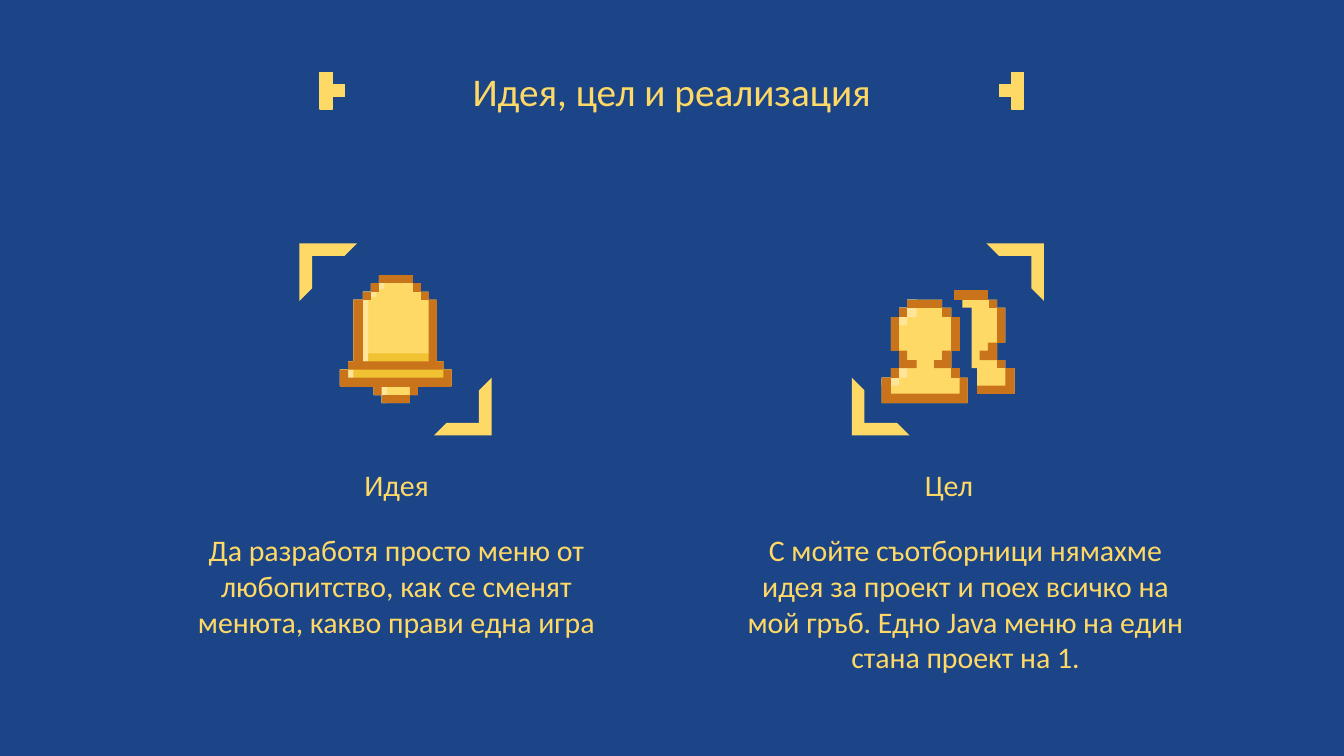
from pptx import Presentation
from pptx import util as u
from pptx.dml.color import RGBColor
from pptx.enum import shapes, text

COLORS = {"background": "1C4587", "gold": "FFD966", "amber": "F1C232",
          "shine": "FFE599", "edge": "C9741B"}
FONT = "Calibri"

TITLE = "Идея, цел и реализация"
# heading, body, left edge, body width (cm)
COLUMNS = [
    ("Идея", "Да разработя просто меню от любопитство, как се сменят менюта, "
     "какво прави една игра", 3.2, 8.59),
    ("Цел", "С мойте съотборници нямахме идея за проект и поех всичко на мой "
     "гръб. Едно Java меню на един стана проект на 1.", 13.64, 9.22),
]
HEADING_WIDTH = 8.59

# Icon parts are lists of corners; see add_stepped. Two corners make a rectangle.
BELL = [
    ("gold", [(82, 5), (76, 11), (70, 17), (63, 23), (59, 69), (53, 75), (78, 87),
              (84, 94), (105, 100), (111, 94), (136, 87), (130, 75), (125, 69),
              (119, 23), (113, 17), (107, 11)]),
    ("amber", [(63, 63), (59, 69), (53, 75), (136, 87), (130, 75), (125, 69)]),
    ("shine", [(82, 9), (76, 11), (70, 17), (63, 23), (74, 69), (76, 23), (80, 21),
               (82, 17), (86, 15)]),
    ("shine", [(59, 69), (53, 75), (63, 87)]),
    ("shine", [(78, 85), (84, 94), (88, 100)]),
    ("edge", [(70, 17), (76, 23)]),
    ("edge", [(76, 11), (82, 17)]),
    ("edge", [(63, 23), (59, 69), (130, 75), (125, 69), (119, 23), (70, 69)]),
    ("edge", [(84, 94), (105, 100)]),
    ("edge", [(82, 5), (107, 11)]),
    ("edge", [(113, 17), (119, 23)]),
    ("edge", [(107, 11), (113, 17)]),
    ("edge", [(53, 75), (78, 88), (84, 94), (105, 88), (111, 94), (136, 88),
              (130, 75), (59, 81)]),
]
PEOPLE = [
    ("gold", [(75, 23), (69, 29), (63, 36), (69, 61), (63, 74), (56, 81), (120, 100),
              (114, 81), (108, 74), (114, 61), (108, 36), (101, 29)]),
    ("shine", [(75, 23), (69, 29), (63, 36), (75, 42), (82, 36)]),
    ("shine", [(69, 68), (63, 74), (56, 81), (69, 87), (75, 81)]),
    ("gold", [(110, 16), (116, 23), (123, 29), (127, 74), (155, 93), (148, 74),
              (142, 68), (148, 55), (142, 29), (135, 23)]),
    ("edge", [(63, 36), (69, 61)]),
    ("edge", [(108, 36), (114, 61)]),
    ("edge", [(75, 23), (101, 29)]),
    ("edge", [(69, 29), (75, 36)]),
    ("edge", [(101, 29), (108, 36)]),
    ("edge", [(101, 61), (95, 68), (108, 74)]),
    ("edge", [(63, 74), (69, 81)]),
    ("edge", [(108, 74), (114, 81)]),
    ("edge", [(56, 81), (120, 100), (114, 81), (63, 93)]),
    ("edge", [(69, 61), (82, 74), (75, 68)]),
    ("edge", [(142, 29), (148, 55)]),
    ("edge", [(110, 16), (135, 23)]),
    ("edge", [(136, 23), (142, 29)]),
    ("edge", [(135, 55), (129, 61), (142, 68)]),
    ("edge", [(142, 68), (148, 74)]),
    ("edge", [(148, 74), (127, 87), (155, 93)]),
]
ICON_TOP = 5.08
ICONS = [(BELL, 5.08), (PEOPLE, 15.24)]
ICON_UNITS_PER_CM = 1 / 0.0254

# left, top (cm), rotation
BRACKETS = [(5.66, 4.6, 0), (8.2, 7.14, 180), (18.64, 4.6, 90), (16.1, 7.14, 270)]
BRACKET_SIZE = 1.09

PIXEL = 0.23
MARK_TOP = 1.37
# left edge of the three-pixel column, step towards the title
MARKS = [(6.05, 1), (19.12, -1)]


def rgb(name):
    return RGBColor.from_string(COLORS[name])


def paint(shape, color, outlined=False):
    shape.shadow.inherit = False
    shape.fill.solid()
    shape.fill.fore_color.rgb = rgb(color)
    if outlined:
        shape.line.color.rgb = rgb(color)
        shape.line.width = u.Pt(0.75)
    else:
        shape.line.fill.background()


def add_stepped(group, corners, color, left, top):
    """Draw a right-angled outline that goes from corner to corner, first vertically."""
    points = []
    for (x, y), (_, next_y) in zip(corners, corners[1:] + corners[:1]):
        points += [(x, y), (x, next_y)]
    builder = group.shapes.build_freeform(*points[0], scale=u.Cm(1) / ICON_UNITS_PER_CM)
    builder.add_line_segments(points[1:], close=True)
    paint(builder.convert_to_shape(u.Cm(left), u.Cm(top)), color)


def write(box, words, size, anchor):
    frame = box.text_frame
    frame.word_wrap = True
    frame.auto_size = text.MSO_AUTO_SIZE.NONE
    frame.vertical_anchor = anchor
    frame.margin_left = frame.margin_right = u.Cm(0.25)
    frame.margin_top = frame.margin_bottom = u.Cm(0.25)
    para = frame.paragraphs[0]
    para.alignment = text.PP_ALIGN.CENTER
    span = para.add_run()
    span.text = words
    span.font.name = FONT
    span.font.size = u.Pt(size)
    span.font.color.rgb = rgb("gold")


def main():
    deck = Presentation()
    deck.slide_width, deck.slide_height = u.Cm(25.4), u.Cm(14.29)
    page = deck.slides.add_slide(deck.slide_layouts[5])
    page.background.fill.solid()
    page.background.fill.fore_color.rgb = rgb("background")

    title = page.shapes.title
    title.left, title.top, title.width, title.height = map(u.Cm, (0.86, 0.81, 23.67, 1.6))
    write(title, TITLE, 21, text.MSO_ANCHOR.BOTTOM)

    for heading, body, left, body_width in COLUMNS:
        box = page.shapes.add_textbox(*map(u.Cm, (left, 8.66, HEADING_WIDTH, 1.09)))
        write(box, heading, 16, text.MSO_ANCHOR.BOTTOM)
        box = page.shapes.add_textbox(*map(u.Cm, (left, 9.8, body_width, 3.07)))
        write(box, body, 16, text.MSO_ANCHOR.TOP)

    for left, step in MARKS:
        group = page.shapes.add_group_shape()
        for column, row in [(0, 0), (0, 1), (0, 2), (step, 1)]:
            pixel = group.shapes.add_shape(
                shapes.MSO_SHAPE.RECTANGLE, u.Cm(left + column * PIXEL),
                u.Cm(MARK_TOP + row * PIXEL), u.Cm(PIXEL), u.Cm(PIXEL))
            paint(pixel, "gold", outlined=True)

    for parts, left in ICONS:
        group = page.shapes.add_group_shape()
        for color, corners in parts:
            add_stepped(group, corners, color, left, ICON_TOP)

    for left, top, rotation in BRACKETS:
        bracket = page.shapes.add_shape(
            shapes.MSO_SHAPE.HALF_FRAME, u.Cm(left), u.Cm(top),
            u.Cm(BRACKET_SIZE), u.Cm(BRACKET_SIZE))
        bracket.adjustments[0] = bracket.adjustments[1] = 0.22
        bracket.rotation = rotation
        paint(bracket, "gold")

    deck.save("out.pptx")


if __name__ == "__main__":
    main()
